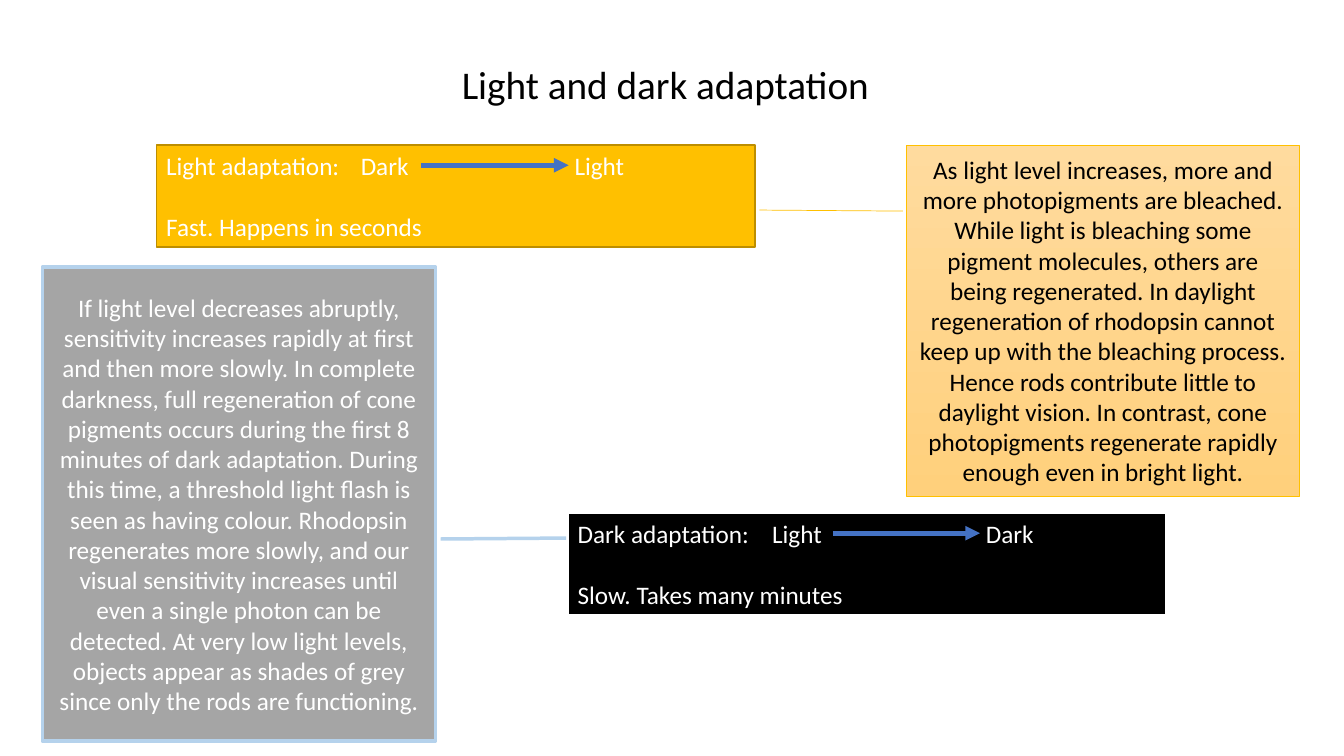
from dataclasses import dataclass

from lxml import etree
from pptx import Presentation
from pptx.dml.color import RGBColor
from pptx.enum.shapes import MSO_CONNECTOR, MSO_SHAPE
from pptx.enum.text import MSO_ANCHOR, MSO_AUTO_SIZE, PP_ALIGN
from pptx.oxml.ns import qn
from pptx.util import Inches, Pt

RECT, CALLOUT = MSO_SHAPE.RECTANGLE, MSO_SHAPE.LINE_CALLOUT_1
STRAIGHT = MSO_CONNECTOR.STRAIGHT
TOP, MIDDLE = MSO_ANCHOR.TOP, MSO_ANCHOR.MIDDLE
LEFT, CENTER = PP_ALIGN.LEFT, PP_ALIGN.CENTER
NO_FIT = MSO_AUTO_SIZE.NONE
FONT = "Calibri"
TAB_STOPS = (1.93, 4.05)
ARROW_COLOR = "4472C4"


@dataclass
class Adaptation:
    left: float
    top: float
    heading: str
    start: str
    end: str
    speed: str
    fill: str
    line: str
    line_width: float
    arrow_left: float


@dataclass
class Callout:
    left: float
    top: float
    height: float
    pointer: tuple[float, ...]
    fills: tuple[str, ...]
    line: str
    line_width: float
    color: str
    text: str


ADAPTATIONS = [
    Adaptation(1.55, 1.44, "Light adaptation:", "Dark", "Light",
               "Fast. Happens in seconds", "FFC000", "BD8E00", 1, 4.18),
    Adaptation(5.63, 5.09, "Dark adaptation:", "Light", "Dark",
               "Slow. Takes many minutes", "000000", "FFFFFF", 1.5, 8.26),
]

CALLOUTS = [
    Callout(8.99, 1.44, 3.48, (0.188, -0.009, 0.185, -0.374),
            ("FFDB9E", "FFD07C"), "FFC000", 0.5, "000000",
            "As light level increases, more and more photopigments are bleached. "
            "While light is bleaching some pigment molecules, others are being "
            "regenerated. In daylight regeneration of rhodopsin cannot keep up with "
            "the bleaching process. Hence rods contribute little to daylight vision. "
            "In contrast, cone photopigments regenerate rapidly enough even in "
            "bright light."),
    Callout(0.42, 2.65, 4.7, (0.574, 1.013, 0.572, 1.332),
            ("A5A5A5",), "B5D2EC", 2.5, "FFFFFF",
            "If light level decreases abruptly, sensitivity increases rapidly at "
            "first and then more slowly. In complete darkness, full regeneration of "
            "cone pigments occurs during the first 8 minutes of dark adaptation. "
            "During this time, a threshold light flash is seen as having colour. "
            "Rhodopsin regenerates more slowly, and our visual sensitivity increases "
            "until even a single photon can be detected. At very low light levels, "
            "objects appear as shades of grey since only the rods are functioning."),
]


def rgb(value: str) -> RGBColor:
    return RGBColor.from_string(value)


def apply(target, formats: dict) -> None:
    for name, value in formats.items():
        setattr(target, name, value)


def write(p, text: str, size: float, color: str, align) -> None:
    p.alignment = align
    r = p.add_run()
    r.text = text
    apply(r.font, {"name": FONT, "size": Pt(size)})
    r.font.color.rgb = rgb(color)


def add_box(s, kind, left: float, top: float, width: float, height: float,
            fills: tuple[str, ...], line: str, line_width: float, anchor):
    sp = s.shapes.add_shape(kind, Inches(left), Inches(top),
                            Inches(width), Inches(height))
    sp.shadow.inherit = False
    if len(fills) == 1:
        sp.fill.solid()
        sp.fill.fore_color.rgb = rgb(fills[0])
    else:
        sp.fill.gradient()
        sp.fill.gradient_angle = 270
        for stop, color in zip(sp.fill.gradient_stops, fills):
            stop.color.rgb = rgb(color)
    sp.line.color.rgb = rgb(line)
    sp.line.width = Pt(line_width)
    apply(sp.text_frame, {"word_wrap": True, "vertical_anchor": anchor})
    return sp


def add_tabs(p) -> None:
    tabs = etree.SubElement(p._p.get_or_add_pPr(), qn("a:tabLst"))
    for stop in TAB_STOPS:
        etree.SubElement(tabs, qn("a:tab"), pos=str(Inches(stop)), algn="l")


def add_arrow(s, left: float, y: float, length: float) -> None:
    arrow = s.shapes.add_connector(STRAIGHT, Inches(left), Inches(y),
                                   Inches(left + length), Inches(y))
    arrow.line.color.rgb = rgb(ARROW_COLOR)
    arrow.line.width = Pt(3.5)
    etree.SubElement(arrow.line._get_or_add_ln(), qn("a:tailEnd"), type="triangle")
    etree.SubElement(arrow._element.spPr, qn("a:effectLst"))


def add_adaptation(s, item: Adaptation) -> None:
    sp = add_box(s, RECT, item.left, item.top, 5.94, 1.01,
                 (item.fill,), item.line, item.line_width, TOP)
    p = sp.text_frame.paragraphs[0]
    add_tabs(p)
    write(p, f"{item.heading}\t{item.start}\t{item.end}", 18, "FFFFFF", LEFT)
    p = sp.text_frame.add_paragraph()
    p.space_before = Pt(22)
    write(p, item.speed, 18, "FFFFFF", LEFT)
    add_arrow(s, item.arrow_left, item.top + 0.2, 1.46)


def add_callout(s, item: Callout) -> None:
    sp = add_box(s, CALLOUT, item.left, item.top, 3.9, item.height,
                 item.fills, item.line, item.line_width, MIDDLE)
    for i, value in enumerate(item.pointer):
        sp.adjustments[i] = value
    write(sp.text_frame.paragraphs[0], item.text, 18, item.color, CENTER)


def add_title(s, text: str) -> None:
    title = s.shapes.title
    apply(title, {"left": Inches(4.48), "top": Inches(0.55),
                  "width": Inches(4.29), "height": Inches(0.57)})
    apply(title.text_frame, {"word_wrap": False, "auto_size": NO_FIT,
                             "vertical_anchor": TOP})
    write(title.text_frame.paragraphs[0], text, 28, "000000", LEFT)


def main() -> None:
    prs = Presentation()
    prs.slide_width, prs.slide_height = Inches(13.33), Inches(7.5)
    s = prs.slides.add_slide(prs.slide_layouts[5])
    add_title(s, "Light and dark adaptation")
    for item in ADAPTATIONS:
        add_adaptation(s, item)
    for item in CALLOUTS:
        add_callout(s, item)
    prs.save("out.pptx")


if __name__ == "__main__":
    main()
